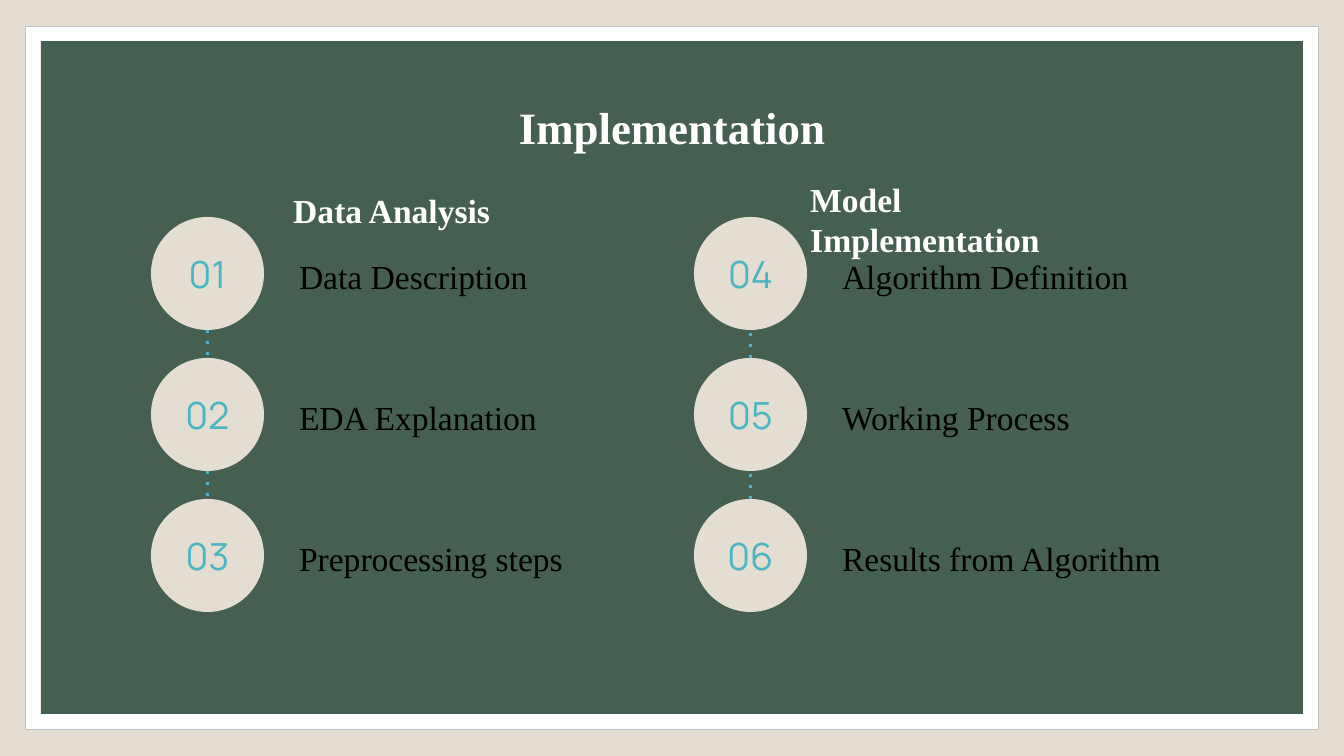
from dataclasses import dataclass

from pptx import Presentation
from pptx import util as u
from pptx.dml.color import RGBColor
from pptx.enum import shapes, text
from pptx.oxml.xmlchemy import OxmlElement

SCALE = 9144000 / 1344
SLIDE_WIDTH, SLIDE_HEIGHT = 1344, 756

SAND = RGBColor(0xE3, 0xDE, 0xD1)
GREEN = RGBColor(0x45, 0x5F, 0x51)
WHITE = RGBColor(0xFF, 0xFF, 0xFF)
GREY = RGBColor(0xBF, 0xBF, 0xBF)
BLACK = RGBColor(0, 0, 0)
TEAL = RGBColor(0x4A, 0xB5, 0xC4)

SERIF = "Times New Roman"
SANS = "Manrope"

CIRCLE_SIZE = 113
FIRST_TOP = 217
ROW_PITCH = 141
LABEL_OFFSET = 135
LABEL_WIDTH = 364
INSET = 13


@dataclass(frozen=True)
class Box:
    left: int
    top: int
    width: int
    height: int

    def emu(self) -> tuple:
        return tuple(px(value) for value in (self.left, self.top, self.width, self.height))


@dataclass(frozen=True)
class TextStyle:
    size: int
    font: str
    color: RGBColor
    bold: bool = False
    align: text.PP_ALIGN = text.PP_ALIGN.LEFT
    spacing: float = 1.0


@dataclass(frozen=True)
class Column:
    left: int
    first_number: int
    steps: tuple
    upward: bool


@dataclass(frozen=True)
class Heading:
    words: str
    box: Box
    style: TextStyle
    wrap: bool


TITLE = TextStyle(24, SERIF, WHITE, True, text.PP_ALIGN.CENTER, 1.15)
LABEL = TextStyle(18, SERIF, BLACK, spacing=1.15)
NUMBER = TextStyle(20, SANS, TEAL, align=text.PP_ALIGN.CENTER)

COLUMNS = (
    Column(151, 1, ("Data Description", "EDA Explanation", "Preprocessing steps"), False),
    Column(694, 4, ("Algorithm Definition", "Working Process", "Results from Algorithm"), True),
)

HEADINGS = (
    Heading("Model Implementation", Box(797, 172, 324, 95),
            TextStyle(18, SERIF, WHITE, True), True),
    Heading("Data Analysis", Box(280, 163, 226, 67),
            TextStyle(18, SERIF, WHITE, True, text.PP_ALIGN.JUSTIFY, 1.5), False),
)


def px(value: int) -> int:
    return u.Emu(round(value * SCALE))


def write(shape, words: str, style: TextStyle) -> None:
    paragraph = shape.text_frame.paragraphs[0]
    paragraph.alignment = style.align
    paragraph.line_spacing = style.spacing
    paragraph.space_before = u.Pt(0)
    run = paragraph.add_run()
    run.text = words
    run.font.size = u.Pt(style.size)
    run.font.name = style.font
    run.font.bold = style.bold
    run.font.color.rgb = style.color


def set_frame(shape, anchor: text.MSO_ANCHOR) -> None:
    frame = shape.text_frame
    frame.word_wrap = True
    frame.auto_size = text.MSO_AUTO_SIZE.NONE
    frame.vertical_anchor = anchor
    frame.margin_left = frame.margin_right = px(INSET)
    frame.margin_top = frame.margin_bottom = px(INSET)


def add_filled(slide, kind: shapes.MSO_SHAPE, box: Box, color: RGBColor):
    shape = slide.shapes.add_shape(kind, *box.emu())
    shape.shadow.inherit = False
    shape.fill.solid()
    shape.fill.fore_color.rgb = color
    shape.line.fill.background()
    return shape


def add_title(slide, words: str) -> None:
    title = slide.shapes.title
    title.left, title.top, title.width, title.height = Box(105, 79, 1134, 105).emu()
    set_frame(title, text.MSO_ANCHOR.TOP)
    write(title, words, TITLE)


def add_step(slide, left: int, top: int, number: int, words: str):
    label_box = Box(left + LABEL_OFFSET, top, LABEL_WIDTH, CIRCLE_SIZE)
    label = slide.shapes.add_textbox(*label_box.emu())
    set_frame(label, text.MSO_ANCHOR.MIDDLE)
    write(label, words, LABEL)
    circle_box = Box(left, top, CIRCLE_SIZE, CIRCLE_SIZE)
    circle = add_filled(slide, shapes.MSO_SHAPE.OVAL, circle_box, SAND)
    set_frame(circle, text.MSO_ANCHOR.MIDDLE)
    write(circle, f"{number:02d}", NUMBER)
    return circle


def add_dotted_link(slide, upper, lower, upward: bool) -> None:
    center = upper.left + upper.width // 2
    start_y, finish_y = upper.top + upper.height, lower.top
    if upward:
        start_y, finish_y = finish_y, start_y
    link = slide.shapes.add_connector(
        shapes.MSO_CONNECTOR.STRAIGHT, center, start_y, center, finish_y)
    link.line.color.rgb = TEAL
    link.line.width = u.Pt(1.5)
    dash = OxmlElement("a:prstDash")
    dash.set("val", "dot")
    properties = link.element.spPr
    properties.ln.append(dash)
    properties.append(OxmlElement("a:effectLst"))


def add_column(slide, column: Column) -> list:
    return [
        add_step(slide, column.left, FIRST_TOP + row * ROW_PITCH,
                 column.first_number + row, words)
        for row, words in enumerate(column.steps)
    ]


def add_heading(slide, heading: Heading) -> None:
    shape = slide.shapes.add_textbox(*heading.box.emu())
    shape.text_frame.word_wrap = heading.wrap
    shape.text_frame.auto_size = text.MSO_AUTO_SIZE.SHAPE_TO_FIT_TEXT
    write(shape, heading.words, heading.style)


def main() -> None:
    presentation = Presentation()
    presentation.slide_width = px(SLIDE_WIDTH)
    presentation.slide_height = px(SLIDE_HEIGHT)
    slide = presentation.slides.add_slide(presentation.slide_layouts[5])
    slide.background.fill.solid()
    slide.background.fill.fore_color.rgb = SAND

    frame = add_filled(slide, shapes.MSO_SHAPE.RECTANGLE, Box(26, 27, 1293, 703), WHITE)
    frame.line.color.rgb = GREY
    frame.line.width = u.Pt(0.5)
    add_filled(slide, shapes.MSO_SHAPE.RECTANGLE, Box(41, 41, 1262, 673), GREEN)
    add_title(slide, "Implementation")
    slide.shapes.element.append(slide.shapes.title.element)

    circles = [add_column(slide, column) for column in COLUMNS]
    for column, steps in zip(COLUMNS, circles):
        for upper, lower in zip(steps, steps[1:]):
            add_dotted_link(slide, upper, lower, column.upward)
    for heading in HEADINGS:
        add_heading(slide, heading)

    presentation.save("out.pptx")


if __name__ == "__main__":
    main()
